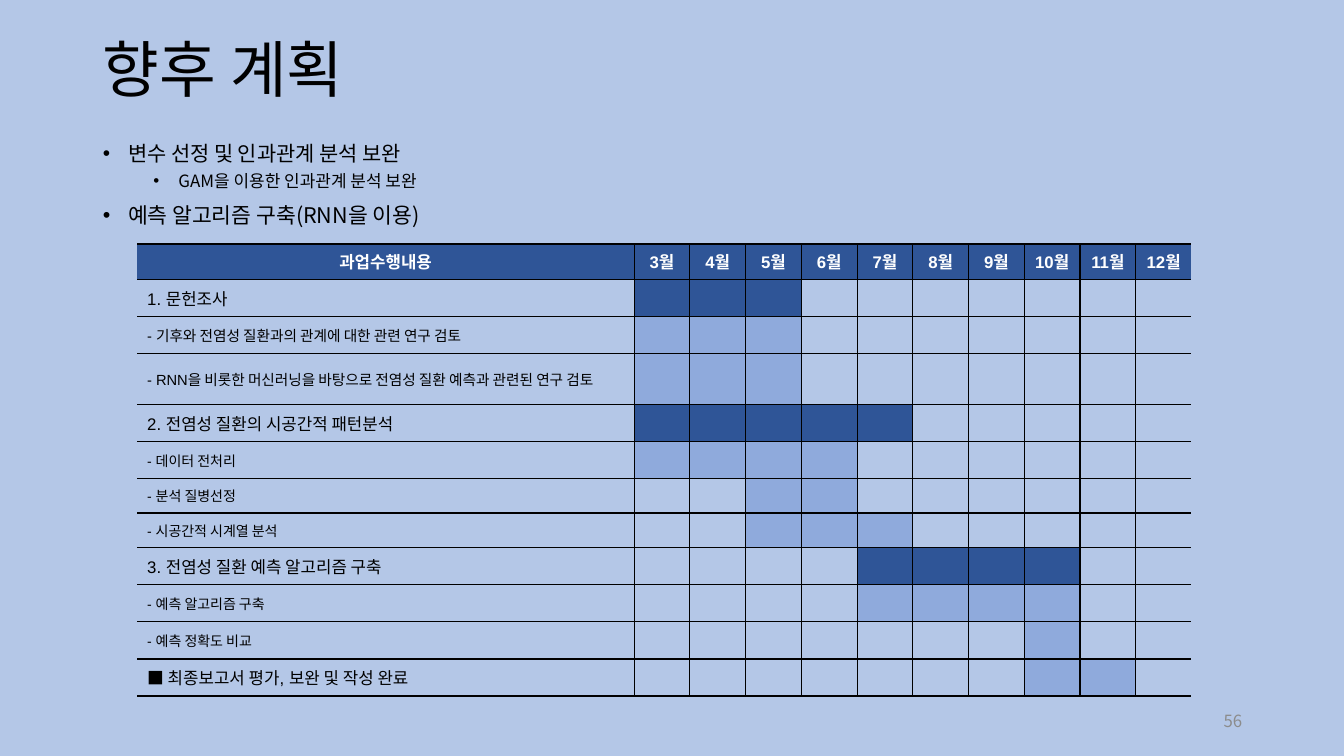
from dataclasses import dataclass

from lxml.etree import SubElement
from pptx import Presentation
from pptx.dml.color import RGBColor
from pptx.enum.text import MSO_ANCHOR as Anchor, MSO_AUTO_SIZE as AutoSize, PP_ALIGN as Align
from pptx.oxml.ns import qn
from pptx.util import Inches, Pt


@dataclass(frozen=True)
class Theme:
    background: str = "B4C7E7"
    ink: str = "000000"
    white: str = "FFFFFF"
    grey: str = "8C8C8C"
    phase: str = "2F5597"
    step: str = "8FAADC"
    font: str = "Noto Sans CJK KR"
    table_font: str = "Arial"
    title_size: float = 44
    label_size: float = 12
    rule: float = 1
    edge_rule: float = 1.5


@dataclass(frozen=True)
class Bullet:
    text: str
    size: float
    level: int = 0
    margin: float = 0.25
    before: float = 10


@dataclass(frozen=True)
class Task:
    text: str
    first: int
    last: int
    height: float = 0.37
    size: float = 12
    color: str = Theme.step
    hang: float = 0


THEME = Theme()
MONTHS = range(3, 13)
HEADER_HEIGHT = 0.35
BULLETS = [
    Bullet("변수 선정 및 인과관계 분석 보완", 14.9, before=0),
    Bullet("GAM을 이용한 인과관계 분석 보완", 12.1, level=1, margin=0.75, before=5),
    Bullet("예측 알고리즘 구축(RNN을 이용)", 15.4),
]
TASKS = [
    Task("1. 문헌조사", 3, 5, color=THEME.phase),
    Task("- 기후와 전염성 질환과의 관계에 대한 관련 연구 검토", 3, 5, size=10.5),
    Task("- RNN을 비롯한 머신러닝을 바탕으로 전염성 질환 예측과 관련된 연구 검토",
         3, 5, height=0.5, size=10.5, hang=0.09),
    Task("2. 전염성 질환의 시공간적 패턴분석", 3, 7, color=THEME.phase),
    Task("- 데이터 전처리", 3, 6, size=10),
    Task("- 분석 질병선정", 5, 6, height=0.34, size=10),
    Task("- 시공간적 시계열 분석", 5, 7, height=0.34, size=10),
    Task("3. 전염성 질환 예측 알고리즘 구축", 7, 10, color=THEME.phase),
    Task("- 예측 알고리즘 구축", 7, 10, size=10),
    Task("- 예측 정확도 비교", 10, 10, size=10),
    Task("■ 최종보고서 평가, 보완 및 작성 완료", 10, 11),
]


def write(para, text: str, *, size: float, color: str = THEME.ink, font: str = THEME.font,
          bold: bool = False, align=Align.LEFT) -> None:
    para.alignment = align
    if not text:
        SubElement(para._p, qn("a:endParaRPr"), sz=str(int(size * 100)))
        return
    span = para.add_run()
    span.text = text
    span.font.size = Pt(size)
    span.font.bold = bold
    span.font.name = font
    span.font.color.rgb = RGBColor.from_string(color)
    SubElement(span._r.get_or_add_rPr(), qn("a:ea"), typeface=THEME.font)


def indent(para, margin: float, hang: float) -> None:
    properties = para._p.get_or_add_pPr()
    properties.set("marL", str(Inches(margin)))
    properties.set("indent", str(-Inches(hang)))


def place(box, left: float, top: float, width: float, height: float) -> None:
    box.left, box.top = Inches(left), Inches(top)
    box.width, box.height = Inches(width), Inches(height)


def add_borders(cell, widths: dict[str, float]) -> None:
    properties = cell._tc.get_or_add_tcPr()
    for side, width in widths.items():
        line = SubElement(properties, qn(f"a:ln{side}"), w=str(Pt(width)))
        if width:
            fill = SubElement(line, qn("a:solidFill"))
            SubElement(fill, qn("a:srgbClr"), val=THEME.ink)
        else:
            SubElement(line, qn("a:noFill"))


def add_title(slide) -> None:
    title = slide.shapes.title
    place(title, 0.92, -0.01, 11.69, 1.45)
    frame = title.text_frame
    frame.vertical_anchor = Anchor.MIDDLE
    frame.auto_size = AutoSize.NONE
    para = frame.paragraphs[0]
    para.line_spacing = 0.9
    write(para, "향후 계획", size=THEME.title_size)


def add_bullets(slide) -> None:
    body = slide.placeholders[1]
    place(body, 0.92, 1.34, 11.9, 1.08)
    frame = body.text_frame
    frame.auto_size = AutoSize.NONE
    frame.margin_top = frame.margin_bottom = Inches(0.08)
    for index, bullet in enumerate(BULLETS):
        para = frame.add_paragraph() if index else frame.paragraphs[0]
        para.level = bullet.level
        indent(para, bullet.margin, 0.25)
        properties = para._p.get_or_add_pPr()
        SubElement(properties, qn("a:buFont"), typeface="Arial")
        SubElement(properties, qn("a:buChar"), char="•")
        para.line_spacing = 0.9
        para.space_before = Pt(bullet.before)
        write(para, bullet.text, size=bullet.size)


def add_schedule(slide) -> None:
    heights = [HEADER_HEIGHT] + [task.height for task in TASKS]
    widths = [4.93] + [0.553] * len(MONTHS)
    table = slide.shapes.add_table(
        len(heights), len(widths), Inches(1.36), Inches(2.42),
        Inches(sum(widths)), Inches(sum(heights))).table
    table.first_row = table.horz_banding = False
    for row, height in zip(table.rows, heights):
        row.height = Inches(height)
    for column, width in zip(table.columns, widths):
        column.width = Inches(width)

    last_row, last_column = len(TASKS), len(MONTHS)
    for row in range(last_row + 1):
        for column in range(last_column + 1):
            cell = table.cell(row, column)
            cell.vertical_anchor = Anchor.MIDDLE
            if column:
                cell.margin_left = cell.margin_right = Inches(0.04)
            add_borders(cell, {
                "L": THEME.rule if column else 0,
                "R": THEME.rule if column < last_column else 0,
                "T": THEME.rule if row else THEME.edge_rule,
                "B": THEME.rule if row < last_row else THEME.edge_rule,
            })
            para = cell.text_frame.paragraphs[0]
            if row == 0:
                label = f"{MONTHS[column - 1]}월" if column else "과업수행내용"
                write(para, label, size=THEME.label_size, color=THEME.white,
                      font=THEME.table_font, bold=True, align=Align.CENTER)
                color = THEME.phase
            else:
                task = TASKS[row - 1]
                if task.hang and not column:
                    indent(para, task.hang, task.hang)
                write(para, "" if column else task.text, size=task.size, font=THEME.table_font)
                active = column and task.first <= MONTHS[column - 1] <= task.last
                color = task.color if active else None
            if color:
                cell.fill.solid()
                cell.fill.fore_color.rgb = RGBColor.from_string(color)
            else:
                cell.fill.background()


def add_page_number(slide) -> None:
    box = slide.shapes.add_textbox(Inches(9.42), Inches(6.95), Inches(3), Inches(0.4))
    frame = box.text_frame
    frame.word_wrap = True
    frame.vertical_anchor = Anchor.MIDDLE
    write(frame.paragraphs[0], "56", size=THEME.label_size, color=THEME.grey, align=Align.RIGHT)


def main() -> None:
    deck = Presentation()
    deck.slide_width, deck.slide_height = Inches(13.33), Inches(7.5)
    page = deck.slides.add_slide(deck.slide_layouts[1])
    page.background.fill.solid()
    page.background.fill.fore_color.rgb = RGBColor.from_string(THEME.background)
    add_title(page)
    add_page_number(page)
    add_bullets(page)
    add_schedule(page)
    deck.save("out.pptx")


if __name__ == "__main__":
    main()
